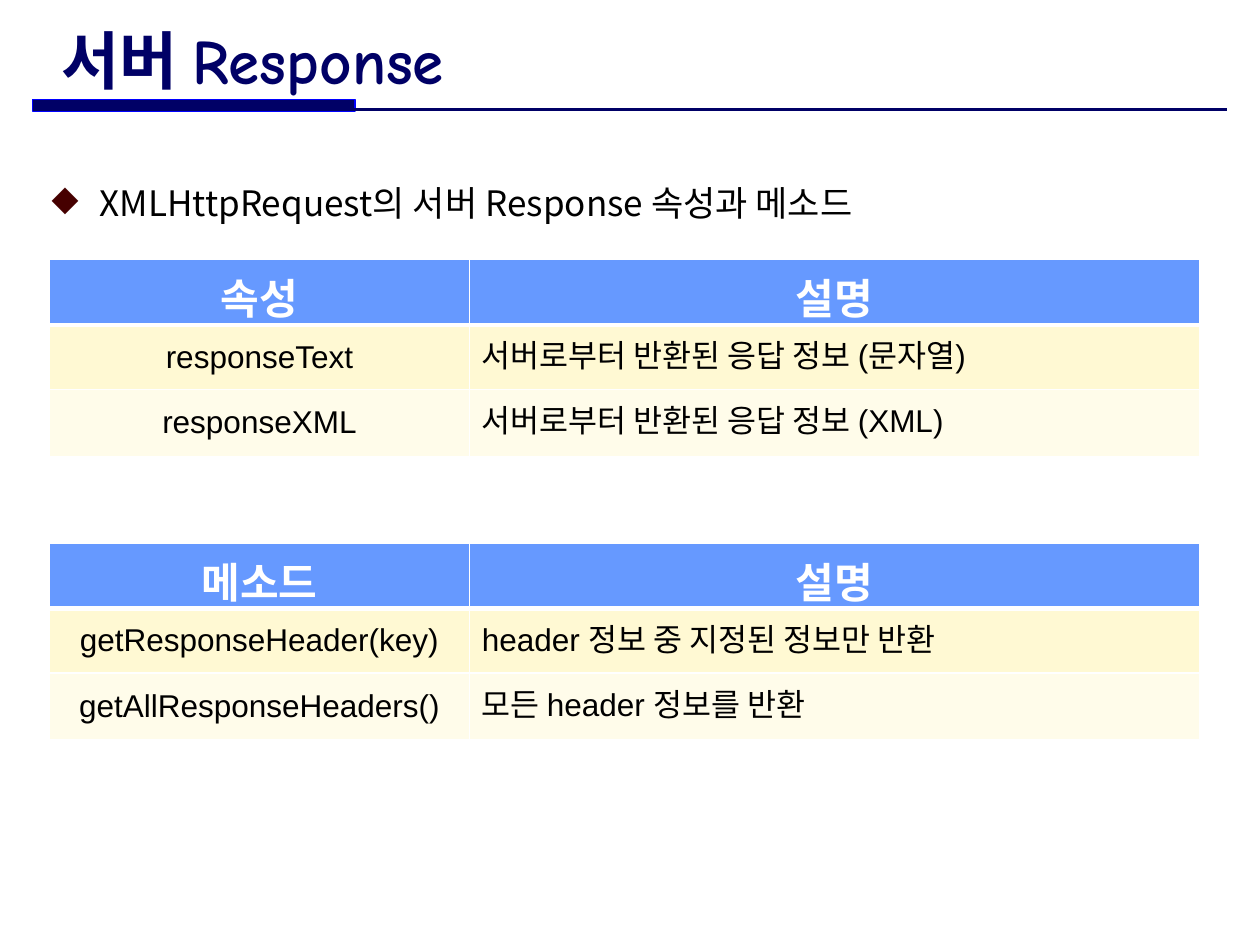
from lxml import etree
from pptx import Presentation
from pptx.dml.color import RGBColor
from pptx.enum.shapes import MSO_CONNECTOR, MSO_SHAPE
from pptx.enum.text import MSO_ANCHOR, PP_ALIGN
from pptx.oxml.ns import qn
from pptx.util import Cm, Pt

LINE = MSO_CONNECTOR.STRAIGHT
RECT = MSO_SHAPE.RECTANGLE
TOP, MIDDLE = MSO_ANCHOR.TOP, MSO_ANCHOR.MIDDLE
LEFT, CENTER = PP_ALIGN.LEFT, PP_ALIGN.CENTER

COLORS = {
    "navy": "000066", "blue": "0000FF", "maroon": "460000",
    "black": "000000", "white": "FFFFFF",
    "head": "6699FF", "odd": "FFF9D3", "even": "FFFCEA",
}
KOREAN = "Noto Sans CJK KR"


def rgb(name):
    """Return the named colour."""
    return RGBColor.from_string(COLORS[name])


def add_fill(parent, name):
    """Append a solid fill to an XML element."""
    fill = etree.SubElement(parent, qn("a:solidFill"))
    etree.SubElement(fill, qn("a:srgbClr"), val=COLORS[name])


class Page:
    """Holds the style and the slide being built."""

    def __init__(self, slide):
        """Keep the slide to draw on."""
        self.slide = slide
        self.shapes = slide.shapes

    def label(self, para, text, face, size, color, bold=False):
        """Put styled text into a paragraph."""
        run = para.add_run()
        run.text = text
        font = para.font
        font.name, font.size, font.bold = face, Pt(size), bold
        font.color.rgb = rgb(color)
        latin = font._element.find(qn("a:latin"))
        east = etree.Element(qn("a:ea"), typeface=KOREAN)
        latin.addnext(east)

    def text(self, box, text, face, size, color, bold=False, anchor=TOP):
        """Add a wrapped text box and return its paragraph."""
        frame = self.shapes.add_textbox(*map(Cm, box)).text_frame
        frame.word_wrap = True
        frame.vertical_anchor = anchor
        para = frame.paragraphs[0]
        self.label(para, text, face, size, color, bold)
        return para

    def bullet(self, para, mark, color, indent):
        """Give a paragraph a coloured bullet and a hanging indent."""
        para.space_before = Pt(4)
        props = para._p.get_or_add_pPr()
        props.set("marL", str(Cm(indent)))
        props.set("indent", str(-Cm(indent)))
        tint = etree.Element(qn("a:buClr"))
        etree.SubElement(tint, qn("a:srgbClr"), val=COLORS[color])
        sign = etree.Element(qn("a:buChar"), char=mark)
        props.find(qn("a:spcBef")).addnext(tint)
        tint.addnext(sign)

    def bar(self, box, fill, edge):
        """Add a filled bar with a thin outline."""
        shape = self.shapes.add_shape(RECT, *map(Cm, box))
        shape.shadow.inherit = False
        shape.fill.solid()
        shape.fill.fore_color.rgb = rgb(fill)
        shape.line.color.rgb = rgb(edge)
        shape.line.width = Pt(0.75)

    def rule(self, left, right, top, color):
        """Add a level line."""
        line = self.shapes.add_connector(
            LINE, Cm(left), Cm(top), Cm(right), Cm(top))
        line.line.color.rgb = rgb(color)
        line.line.width = Pt(1.5)
        etree.SubElement(line._element.spPr, qn("a:effectLst"))

    def border(self, cell, top, bottom):
        """Draw white borders, with the given top and bottom widths."""
        props = cell._tc.get_or_add_tcPr()
        sides = {"lnL": 1, "lnR": 1, "lnT": top, "lnB": bottom}
        for spot, (side, width) in enumerate(sides.items()):
            edge = etree.Element(qn(f"a:{side}"), w=str(Pt(width)))
            add_fill(edge, "white")
            props.insert(spot, edge)

    def table(self, top, rows):
        """Add a two-column table with a header row."""
        widths, heights = (8.46, 14.73), (1.32, 1.3, 1.35)
        table = self.shapes.add_table(
            len(rows), len(widths), Cm(1), Cm(top),
            Cm(sum(widths)), Cm(sum(heights))).table
        for col, width in zip(table.columns, widths):
            col.width = Cm(width)
        for i, (row, height) in enumerate(zip(table.rows, heights)):
            row.height = Cm(height)
            head = i == 0
            for j, cell in enumerate(row.cells):
                cell.fill.solid()
                cell.fill.fore_color.rgb = rgb(("head", "odd", "even")[i])
                self.border(cell, 3 if i == 1 else 1, 3 if head else 1)
                cell.vertical_anchor = TOP if head or j else MIDDLE
                para = cell.text_frame.paragraphs[0]
                para.alignment = CENTER if head or j == 0 else LEFT
                self.label(para, rows[i][j], "Arial", 24 if head else 18,
                           "white" if head else "black", head)


def main():
    """Build and save the slide."""
    deck = Presentation()
    deck.slide_width, deck.slide_height = Cm(25.4), Cm(19.05)
    page = Page(deck.slides.add_slide(deck.slide_layouts[6]))

    page.bar((0.66, 2.01, 6.5, 0.23), "navy", "blue")
    page.rule(0.66, 24.74, 2.21, "navy")
    topic = page.text((0.79, 3.53, 23.95, 13.87),
                      "XMLHttpRequest의 서버 Response 속성과 메소드",
                      KOREAN, 20, "black")
    page.bullet(topic, "◆", "maroon", 0.97)
    page.text((1, 0.53, 17.25, 1.32), "서버 Response", "Comic Neue", 36,
              "navy", True, MIDDLE)
    page.table(5.23, [
        ("속성", "설명"),
        ("responseText", "서버로부터 반환된 응답 정보 (문자열)"),
        ("responseXML", "서버로부터 반환된 응답 정보 (XML)"),
    ])
    page.table(10.95, [
        ("메소드", "설명"),
        ("getResponseHeader(key)", "header 정보 중 지정된 정보만 반환"),
        ("getAllResponseHeaders()", "모든 header 정보를 반환"),
    ])
    deck.save("out.pptx")


main()
